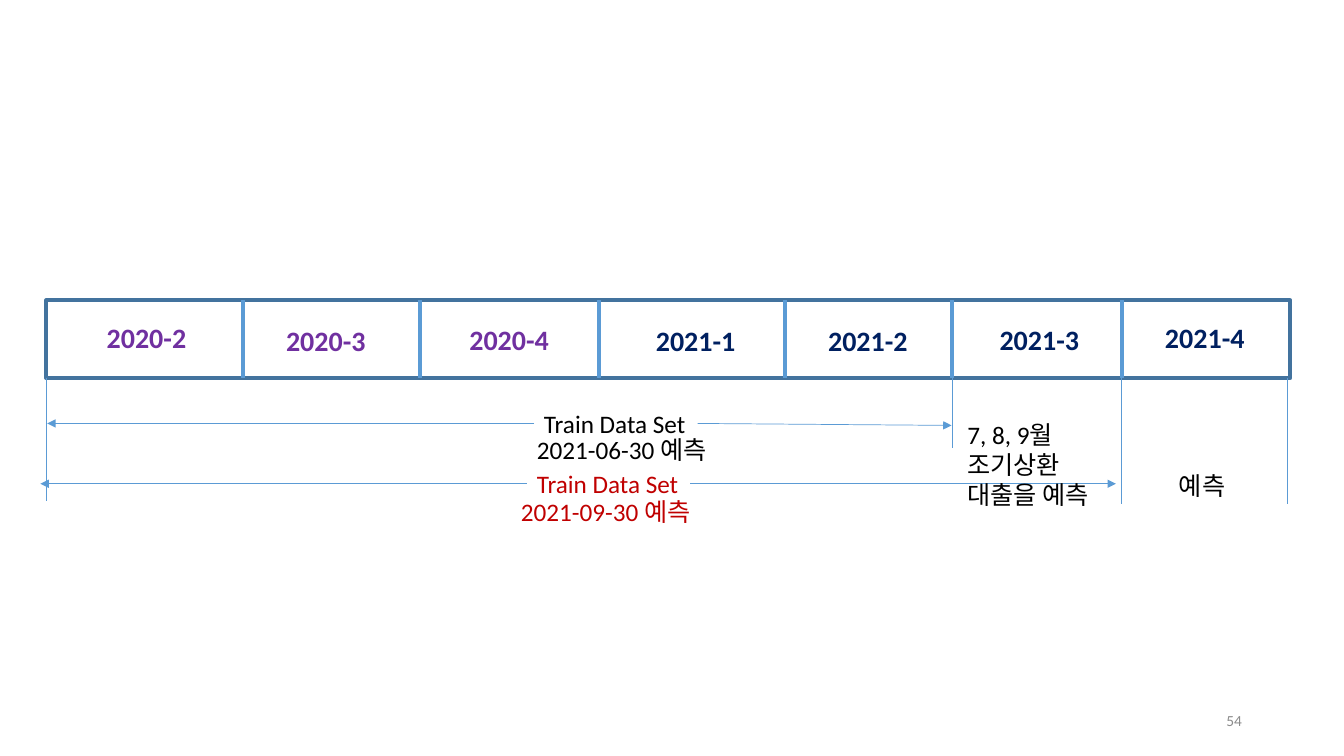
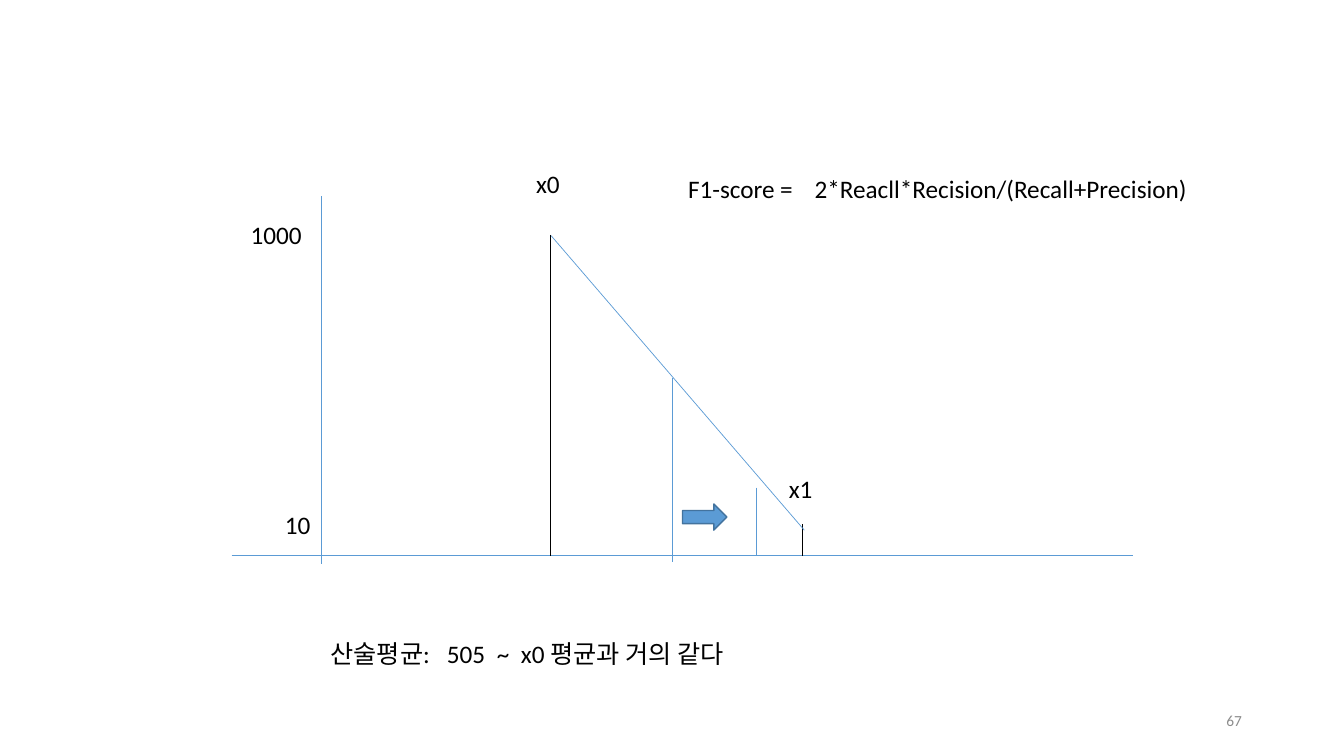
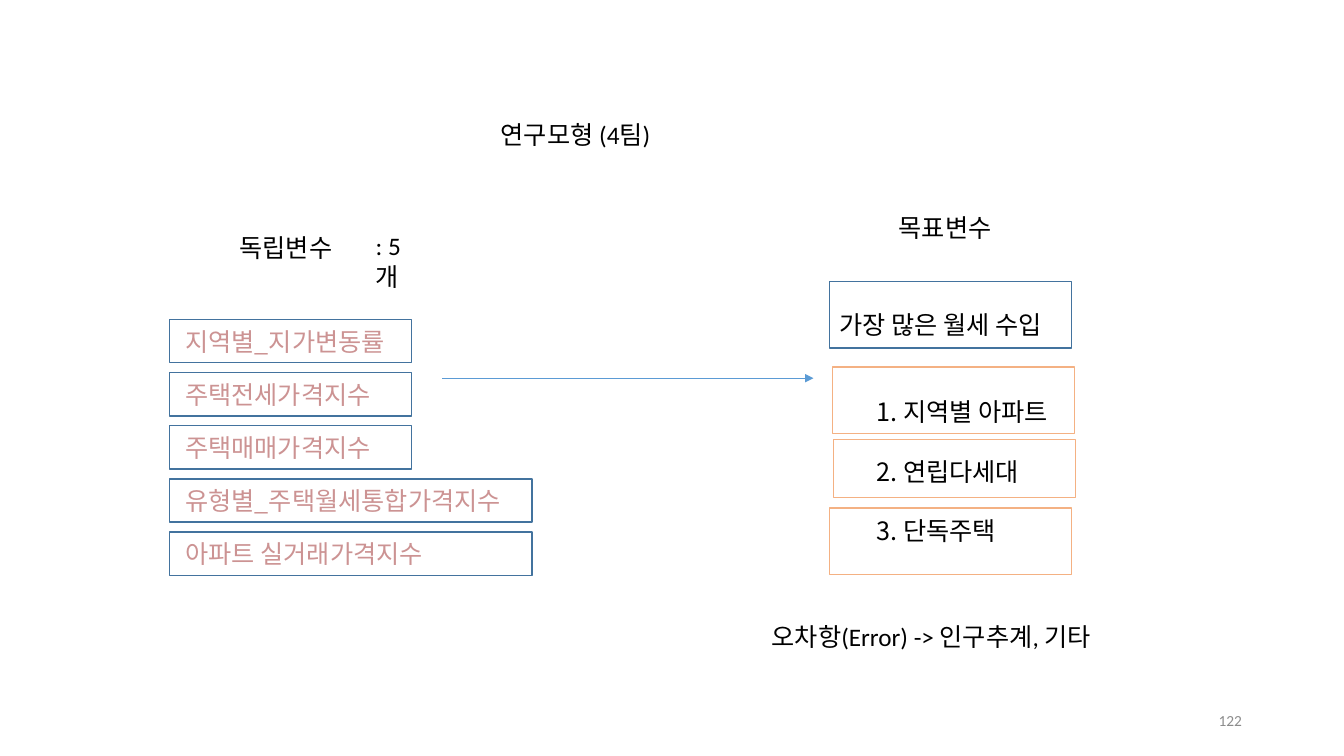
import pptx
import pptx.dml.color
import pptx.enum.shapes
import pptx.enum.text
import pptx.oxml.ns
import pptx.util
from lxml import etree

Cm = pptx.util.Cm
Pt = pptx.util.Pt
Shape = pptx.enum.shapes.MSO_SHAPE
Align = pptx.enum.text.PP_ALIGN
Anchor = pptx.enum.text.MSO_ANCHOR
qn = pptx.oxml.ns.qn

COLORS = {
    "text": "000000", "blue": "5B9BD5", "edge": "43739E", "orange": "F4B183",
    "navy": "002060", "purple": "7030A0", "red": "C00000", "pink": "CC9393",
    "footer": "8C8C8C",
}
LATIN = "Calibri"
KOREAN = "Noto Sans CJK KR"


def rgb(name):
    return pptx.dml.color.RGBColor.from_string(COLORS[name])


# Element kinds
def add_label(page, text, left, top, width, height=1.02, size=18, color="text",
              bold=False, font=LATIN, align=Align.LEFT, anchor=Anchor.TOP,
              gap=0, tabs=()):
    box = page.shapes.add_textbox(Cm(left), Cm(top), Cm(width), Cm(height))
    frame = box.text_frame
    frame.word_wrap = True
    frame.vertical_anchor = anchor
    frame.text = text
    for index, para in enumerate(frame.paragraphs):
        para.alignment = align
        if index and gap:
            para.space_before = Pt(gap)
        if tabs:
            stops = etree.SubElement(para._p.get_or_add_pPr(), qn("a:tabLst"))
            for position in tabs:
                etree.SubElement(stops, qn("a:tab"), pos=str(Cm(position)), algn="l")
        for span in para.runs:
            span.font.name = font
            span.font.size = Pt(size)
            span.font.bold = bold
            span.font.color.rgb = rgb(color)
            latin = span.font._element.find(qn("a:latin"))
            latin.addnext(etree.Element(qn("a:ea"), typeface=font))


def add_line(page, x1, y1, x2, y2, color="blue", width=0.5, arrow=False):
    line = page.shapes.add_connector(
        pptx.enum.shapes.MSO_CONNECTOR.STRAIGHT, Cm(x1), Cm(y1), Cm(x2), Cm(y2))
    line.line.color.rgb = rgb(color)
    line.line.width = Pt(width)
    if arrow:
        etree.SubElement(line.line._get_or_add_ln(), qn("a:tailEnd"), type="triangle")
    etree.SubElement(line._element.spPr, qn("a:effectLst"))


def add_box(page, left, top, width, height, color="edge", weight=1,
            kind=Shape.RECTANGLE, fill=None):
    box = page.shapes.add_shape(kind, Cm(left), Cm(top), Cm(width), Cm(height))
    box.shadow.inherit = False
    box.line.color.rgb = rgb(color)
    box.line.width = Pt(weight)
    if fill:
        box.fill.solid()
        box.fill.fore_color.rgb = rgb(fill)
    else:
        box.fill.background()


def add_page(deck, number):
    page = deck.slides.add_slide(deck.slide_layouts[6])
    add_label(page, str(number), 23.93, 17.65, 7.62, size=11, color="footer",
              align=Align.RIGHT, anchor=Anchor.MIDDLE)
    return page


# Slides
def build_timeline(deck):
    page = add_page(deck, 54)

    # Quarter bar
    bar_top, bar_height = 7.57, 1.96
    add_box(page, 1.17, bar_top, 31.34, bar_height, weight=3)
    for x in (6.12, 10.59, 15.09, 19.79, 24, 28.27):
        add_line(page, x, bar_top, x, bar_top + bar_height, width=3)
    quarters = [("2020-2", 2.44, 7.95), ("2020-3", 6.96, 8.03), ("2020-4", 11.58, 8),
                ("2021-1", 16.28, 8.03), ("2021-2", 20.62, 8.03),
                ("2021-3", 24.94, 8), ("2021-4", 29.11, 7.95)]
    for quarter, left, top in quarters:
        color = "purple" if quarter.startswith("2020") else "navy"
        add_label(page, quarter, left, top, 3.05, size=20, color=color, bold=True)

    # Period limits
    for x, bottom in ((1.17, 12.62), (24, 11.28), (28.27, 12.7), (32.44, 12.7)):
        add_line(page, x, 9.53, x, bottom)

    # Training spans: label left, line height, arrow ends, date position
    spans = [("2021-06-30 예측", "text", 13.46, 10.67, 1.19, 23.98, 10.72, 13.28, 10.82),
             ("2021-09-30 예측", "red", 13.28, 12.19, 1.02, 28.12, 12.19, 12.88, 12.37)]
    for date, color, left, y, start, end, end_y, date_left, date_top in spans:
        add_line(page, left, y, start, y, arrow=True)
        add_line(page, left + 4.12, y, end, end_y, arrow=True)
        add_label(page, "Train Data Set", left, y - 0.51, 4.6, color=color)
        add_label(page, date, date_left, date_top, 5.3, color=color)

    # Forecasts
    add_label(page, "7, 8, 9월\n조기상환\n대출을 예측", 24.13, 10.44, 3.86, 2.57)
    add_label(page, "예측", 29.46, 11.73, 2)


def build_means(deck):
    page = add_page(deck, 67)

    # Axes
    base = 14
    add_line(page, 5.84, base, 28.55, base)
    add_line(page, 8.1, 4.95, 8.1, 14.22)

    # Bars and slope
    bars = [(13.87, 5.92, base, "text"), (20.22, 13.21, base, "text"),
            (16.94, 9.53, 14.17, "blue"), (19.05, 12.29, base, "blue")]
    for x, top, bottom, color in bars:
        add_line(page, x, top, x, bottom, color)
    add_line(page, 13.89, 5.94, 20.27, 13.36)
    add_box(page, 17.2, 12.7, 1.12, 0.66, kind=Shape.RIGHT_ARROW, fill="blue")

    # Labels
    for text, left, top in (("10", 6.93, 12.7), ("1000", 6.07, 5.41),
                            ("x0", 13.26, 4.11), ("x1", 19.63, 11.79)):
        add_label(page, text, left, top, 2.2)
    add_label(page, "산술평균:\t505\t~\tx0 평균과 거의 같다", 8.08, 15.95, 11.5,
              tabs=(2.93, 4.19, 4.8))
    add_label(page, "F1-score =\t2*Reacll*Recision/(Recall+Precision)",
              17.09, 4.24, 14.73, tabs=(3.19,))


def build_model(deck):
    page = add_page(deck, 122)
    add_label(page, "연구모형 (4팀)", 12.37, 2.87, 4.4)

    # Independent variables
    add_label(page, "독립변수", 5.79, 5.74, 3.07)
    add_label(page, ": 5 개", 9.22, 5.69, 1.75)
    variables = [("지역별_지가변동률", 6.1), ("주택전세가격지수", 6.1),
                 ("주택매매가격지수", 6.1), ("유형별_주택월세통합가격지수", 9.14),
                 ("아파트 실거래가격지수", 9.14)]
    for index, (name, width) in enumerate(variables):
        top = 8.05 + 1.34 * index
        add_box(page, 4.27, top, width, 1.09)
        add_label(page, name, 4.42, top + 0.04, 9.35, color="pink", font=KOREAN)
    add_line(page, 11.15, 9.53, 20.5, 9.53, arrow=True)

    # Target variable
    add_label(page, "목표변수", 22.4, 5.23, 3.07)
    for left, top, height, color in ((20.9, 7.09, 1.68, "edge"),
                                     (20.98, 9.25, 1.68, "orange"),
                                     (21.01, 11.07, 1.47, "orange"),
                                     (20.9, 12.8, 1.68, "orange")):
        add_box(page, left, top, 6.1, height, color)
    add_label(page, "가장 많은 월세 수입", 20.9, 7.67, 6.1)
    add_label(page, "1. 지역별 아파트\n2. 연립다세대\n3. 단독주택", 21.84, 9.86, 5.31,
              4.11, font=KOREAN, gap=21)
    add_label(page, "오차항(Error) -> 인구추계, 기타", 19.2, 15.54, 8.9)


def main():
    deck = pptx.Presentation()
    deck.slide_width, deck.slide_height = Cm(33.87), Cm(19.05)
    build_timeline(deck)
    build_means(deck)
    build_model(deck)
    deck.save("out.pptx")


if __name__ == "__main__":
    main()
